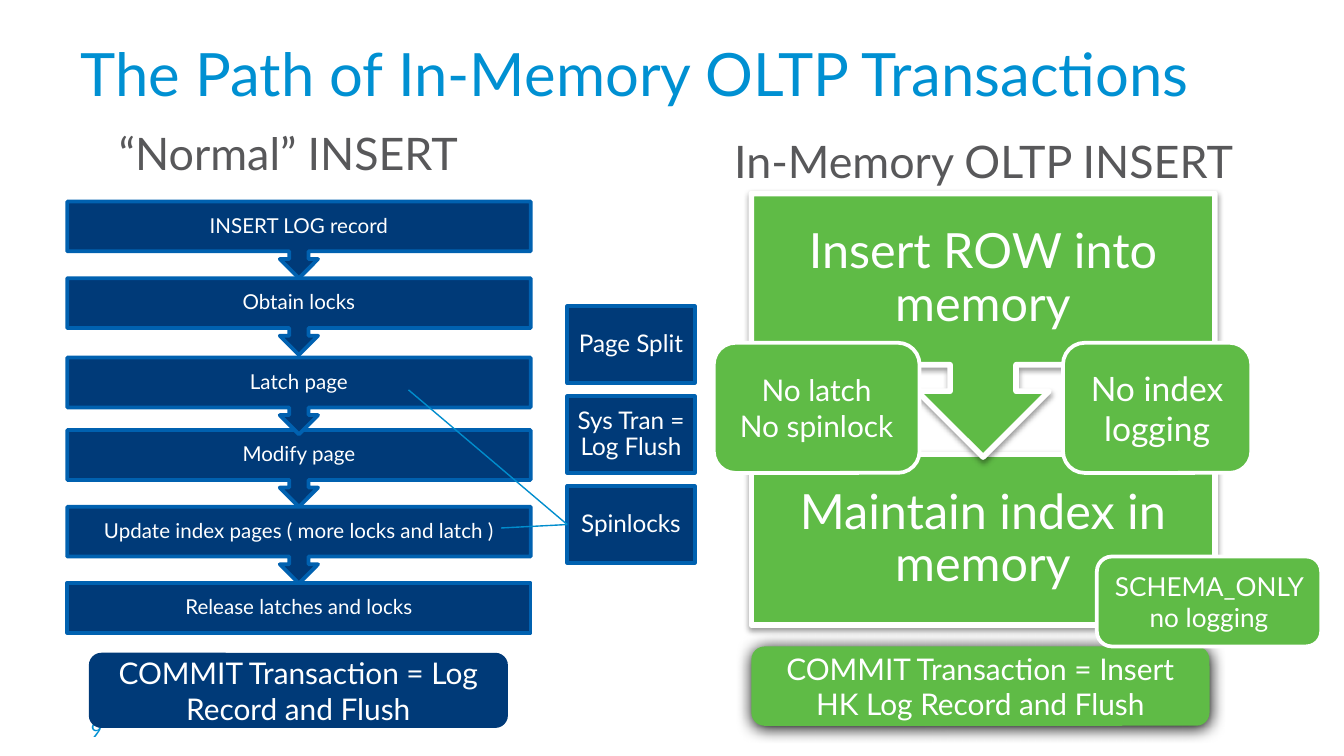
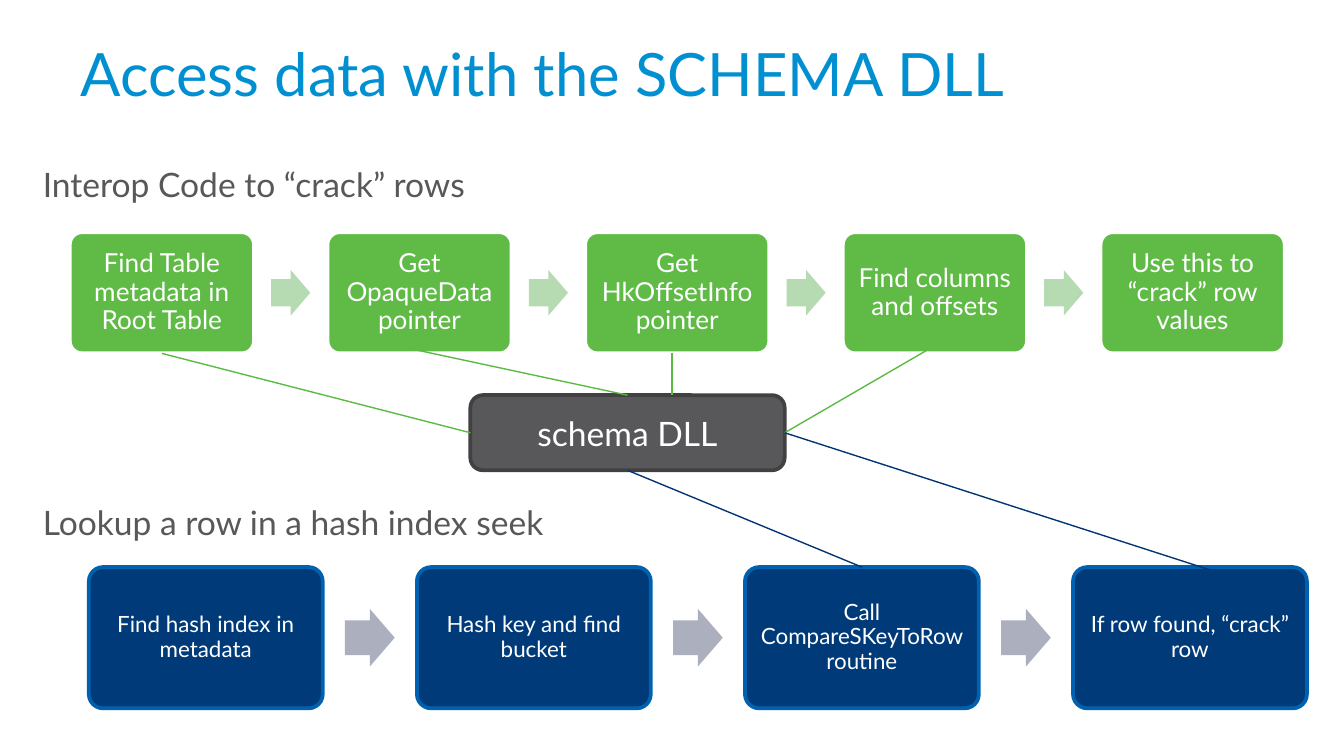
from lxml.etree import SubElement
from pptx import Presentation
from pptx.dml.color import RGBColor
from pptx.enum.shapes import MSO_CONNECTOR, MSO_SHAPE
from pptx.enum.text import MSO_ANCHOR, MSO_AUTO_SIZE, PP_ALIGN
from pptx.oxml.ns import qn
from pptx.util import Cm, Pt

COLORS = {
    "title": "0090D2", "gray": "58585A", "gray_edge": "414143",
    "navy": "003A78", "navy_edge": "0061B0", "navy_link": "003574",
    "green": "5FBB46", "green_link": "5BBA42", "sky_link": "008DCD",
    "white": "FFFFFF", "black": "000000",
    "pale_navy": "ABAFBE", "pale_green": "B6DAB1",
}
FONT = "Lato"
TOP, LEFT, BOTTOM, RIGHT = range(4)

NAVY = {"fill": "navy", "edge": "navy_edge", "edge_pt": 2}
GREEN = {"fill": "green", "edge": "white", "edge_pt": 2}
GRAY = {"fill": "gray", "edge": "gray_edge", "edge_pt": 2}
SOFT_SHADOW = {"alpha": 38, "blur": 3.1, "dist": 1.6}
HARD_SHADOW = {"alpha": 100, "blur": 8.5, "dist": 1}
PANEL = {**GREEN, "edge_pt": 3, "shadow": SOFT_SHADOW}

TITLES = ["The Path of In-Memory OLTP Transactions",
          "Access data with the SCHEMA DLL"]
TITLE_BOX = (1.27, 0.69, 22.86, 1.7)

HEADINGS = [
    ("“Normal” INSERT", (0.61, 2.24, 9.68, 11.91)),
    ("In-Memory OLTP INSERT", (13.28, 2.39, 10.62, 11.79)),
]
PAGE_NUMBER = ("9", (1.47, 13.41, 5.92, 0.76))

INSERT_STEPS = [
    ("INSERT LOG record", 3.81),
    ("Obtain locks", 5.26),
    ("Latch page", 6.76),
    ("Modify page", 8.13),
    ("Update index pages ( more locks and latch )", 9.58),
    ("Release latches and locks", 11.02),
]
MEMORY_STEPS = [
    ("Insert ROW into memory", 3.66),
    ("Maintain index in memory", 8.59),
]
STEP_COLUMNS = [
    (INSERT_STEPS, 1.27, 0.94, 1.45, NAVY, 11, 0.23),
    (MEMORY_STEPS, 14.2, 3.23, 4.98, PANEL, 26, 0.51),
]
STEP_WIDTH = 8.76

COMMITS = [
    ("COMMIT Transaction = Log Record and Flush",
     (1.68, 12.34, 7.92, 1.42), {"fill": "navy"}),
    ("COMMIT Transaction = Insert HK Log Record and Flush",
     (14.2, 12.22, 8.66, 1.5), {"fill": "green", "shadow": HARD_SHADOW}),
]
COSTS = ["Page Split", "Sys Tran = Log Flush", "Spinlocks"]
SAVINGS = [
    ("No index logging", (20.09, 6.48, 3.56, 2.46), 18),
    ("SCHEMA_ONLY no logging", (20.73, 10.52, 4.24, 1.7), 14),
    ("No latch\nNo spinlock", (13.49, 6.48, 3.89, 2.46), 16),
]
SPINLOCK_SOURCES = [(7.72, 7.37), (9.47, 9.98)]

CAPTIONS = [
    ("Interop Code to “crack” rows", (0.56, 2.97, 8.56, 1.02)),
    ("Lookup a row in a hash index seek", (0.56, 9.35, 10.16, 1.02)),
]
SCHEMA_DLL = ("schema DLL", (8.89, 7.47, 5.94, 1.42))
CRACK_FLOW = {
    "steps": ["Find Table metadata in Root Table", "Get OpaqueData pointer",
              "Get HkOffsetInfo pointer", "Find columns and offsets",
              "Use this to “crack” row values"],
    "start": (1.32, 4.39), "box": (3.48, 2.29), "arrow": (0.74, 0.86),
    "pitch": 4.87, "look": GREEN, "arrow_fill": "pale_green",
    "size": 14, "inset": 0.15,
}
LOOKUP_FLOW = {
    "steps": ["Find hash index in metadata", "Hash key and find bucket",
              "Call CompareSKeyToRow routine", "If row found, “crack” row"],
    "start": (1.68, 10.72), "box": (4.42, 2.67), "arrow": (0.94, 1.09),
    "pitch": 6.2, "look": NAVY, "arrow_fill": "pale_navy",
    "size": 12, "inset": 0.13,
}


def color(name):
    return RGBColor.from_string(COLORS[name])


def lengths(box):
    return [Cm(value) for value in box]


def set_all(target, values):
    for name, value in values.items():
        setattr(target, name, value)


def write(holder, text, size, ink="white", align=PP_ALIGN.CENTER,
          anchor=MSO_ANCHOR.MIDDLE, spacing=None, inset=None,
          wrap=True, fit=MSO_AUTO_SIZE.NONE):
    frame = holder.text_frame
    frame.text = text
    set_all(frame, {"word_wrap": wrap, "auto_size": fit,
                    "vertical_anchor": anchor})
    across, down = (0.25, 0.13) if inset is None else (inset, inset)
    set_all(frame, {"margin_left": Cm(across), "margin_right": Cm(across),
                    "margin_top": Cm(down), "margin_bottom": Cm(down)})
    for paragraph in frame.paragraphs:
        set_all(paragraph, {"alignment": align, "line_spacing": spacing})
        for run in paragraph.runs:
            set_all(run.font, {"name": FONT, "size": Pt(size)})
            run.font.color.rgb = color(ink)


def add_label(slide, text, box, size, ink, **layout):
    label = slide.shapes.add_textbox(*lengths(box))
    write(label, text, size, ink, **layout)


def cast_shadow(shape, alpha, blur, dist):
    effects = shape._element.spPr.find(qn("a:effectLst"))
    outer = SubElement(effects, qn("a:outerShdw"), blurRad=str(Pt(blur)),
                       dist=str(Pt(dist)), dir="5400000", rotWithShape="0")
    tint = SubElement(outer, qn("a:srgbClr"), val=COLORS["black"])
    SubElement(tint, qn("a:alpha"), val=str(alpha * 1000))


def add_block(slide, kind, box, look, adjust=()):
    block = slide.shapes.add_shape(kind, *lengths(box))
    block.shadow.inherit = False
    block.fill.solid()
    block.fill.fore_color.rgb = color(look["fill"])
    if "edge" in look:
        block.line.color.rgb = color(look["edge"])
        block.line.width = Pt(look["edge_pt"])
    else:
        block.line.fill.background()
    if "shadow" in look:
        cast_shadow(block, **look["shadow"])
    for index, value in enumerate(adjust):
        block.adjustments[index] = value
    return block


def add_link(slide, begin, end, ink, begin_side=None, end_side=None):
    start = (0, 0) if begin_side is not None else begin
    finish = (0, 0) if end_side is not None else end
    link = slide.shapes.add_connector(MSO_CONNECTOR.STRAIGHT,
                                      *lengths(start + finish))
    if begin_side is not None:
        link.begin_connect(begin, begin_side)
    if end_side is not None:
        link.end_connect(end, end_side)
    link.line.color.rgb = color(ink)
    link.line.width = Pt(0.75)
    SubElement(link._element.spPr, qn("a:effectLst"))


def add_slide(deck, title):
    slide = deck.slides.add_slide(deck.slide_layouts[5])
    heading = slide.shapes.title
    set_all(heading, dict(zip(("left", "top", "width", "height"),
                              lengths(TITLE_BOX))))
    write(heading, title, 32, "title", PP_ALIGN.LEFT, MSO_ANCHOR.TOP, Pt(35))
    return slide


def add_steps(slide, steps, left, body, full, look, size, inset):
    for index, (text, top) in reversed(list(enumerate(steps))):
        last = index == len(steps) - 1
        kind = MSO_SHAPE.RECTANGLE if last else MSO_SHAPE.DOWN_ARROW_CALLOUT
        box = (left, top, STEP_WIDTH, body if last else full)
        step = add_block(slide, kind, box, look)
        write(step, text, size, spacing=0.9, inset=inset)


def add_flow(slide, flow):
    left, top = flow["start"]
    width, height = flow["box"]
    arrow_width, arrow_height = flow["arrow"]
    arrow_shift = (width + flow["pitch"] - arrow_width) / 2
    arrow_top = top + (height - arrow_height) / 2
    boxes = []
    for index, text in enumerate(flow["steps"]):
        x = left + index * flow["pitch"]
        if index:
            add_block(slide, MSO_SHAPE.RIGHT_ARROW,
                      (x - flow["pitch"] + arrow_shift, arrow_top,
                       arrow_width, arrow_height),
                      {"fill": flow["arrow_fill"]}, (0.6, 0.5))
        box = add_block(slide, MSO_SHAPE.ROUNDED_RECTANGLE,
                        (x, top, width, height), flow["look"], (0.1,))
        write(box, text, flow["size"], spacing=0.9, inset=flow["inset"])
        boxes.append(box)
    return boxes


def add_saving(slide, text, box, size):
    saving = add_block(slide, MSO_SHAPE.ROUNDED_RECTANGLE, box, GREEN)
    write(saving, text, size)


def build_transactions(deck):
    slide = add_slide(deck, TITLES[0])
    for text, box in HEADINGS:
        add_label(slide, text, box, 24, "gray", anchor=MSO_ANCHOR.TOP)
    add_label(slide, *PAGE_NUMBER, 10.5, "title", align=PP_ALIGN.LEFT)
    for column in STEP_COLUMNS:
        add_steps(slide, *column)
    for text, box, look in COMMITS:
        commit = add_block(slide, MSO_SHAPE.ROUNDED_RECTANGLE, box, look)
        write(commit, text, 16)
    for index, text in enumerate(COSTS):
        cost = add_block(slide, MSO_SHAPE.RECTANGLE,
                         (10.72, 5.79 + 1.7 * index, 2.41, 1.45), NAVY)
        write(cost, text, 13, spacing=0.9, inset=0.13)
    for saving in SAVINGS[:2]:
        add_saving(slide, *saving)
    for source in SPINLOCK_SOURCES:
        add_link(slide, source, cost, "sky_link", end_side=LEFT)
    add_saving(slide, *SAVINGS[2])


def build_schema_dll(deck):
    slide = add_slide(deck, TITLES[1])
    for text, box in CAPTIONS:
        add_label(slide, text, box, 18, "gray", align=PP_ALIGN.LEFT,
                  anchor=MSO_ANCHOR.TOP, wrap=False,
                  fit=MSO_AUTO_SIZE.SHAPE_TO_FIT_TEXT)
    lookups = add_flow(slide, LOOKUP_FLOW)
    name, box = SCHEMA_DLL
    dll = add_block(slide, MSO_SHAPE.ROUNDED_RECTANGLE, box, GRAY)
    write(dll, name, 18)
    cracks = add_flow(slide, CRACK_FLOW)
    add_link(slide, cracks[0], dll, "green_link", BOTTOM, LEFT)
    add_link(slide, (7.8, 6.6), dll, "green_link", end_side=TOP)
    add_link(slide, (12.7, 6.68), (12.7, 7.47), "green_link")
    add_link(slide, (17.5, 6.63), dll, "green_link", end_side=RIGHT)
    add_link(slide, dll, lookups[2], "navy_link", BOTTOM, TOP)
    add_link(slide, dll, (22.86, 10.77), "navy_link", begin_side=RIGHT)


def main():
    deck = Presentation()
    set_all(deck, {"slide_width": Cm(25.4), "slide_height": Cm(14.29)})
    build_transactions(deck)
    build_schema_dll(deck)
    deck.save("out.pptx")


if __name__ == "__main__":
    main()
